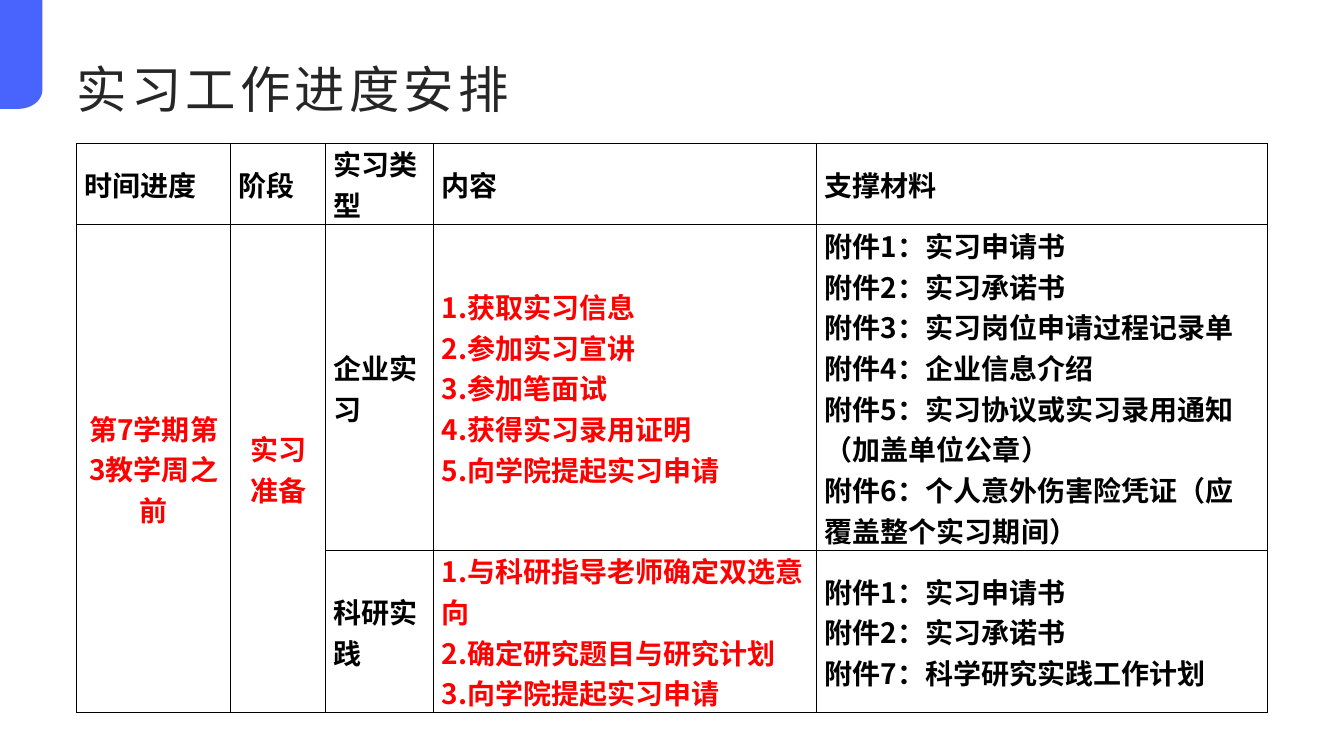
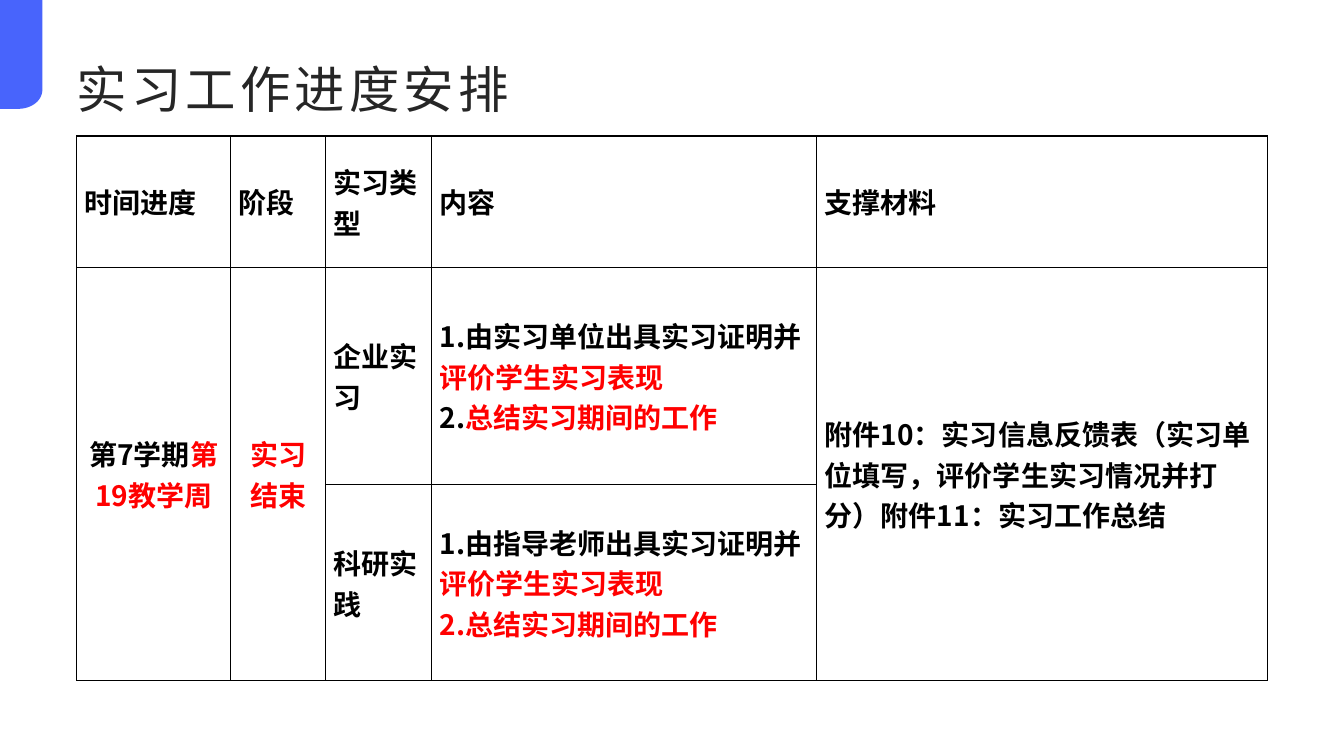
"""Builds two slides that show the internship schedule as tables."""
from lxml import etree
from pptx import Presentation
from pptx.dml.color import RGBColor
from pptx.enum.text import MSO_ANCHOR, PP_ALIGN
from pptx.oxml.ns import qn
from pptx.util import Inches, Pt

COLOURS = {"accent": "4864FC", "title": "262626", "black": "000000", "red": "FF0000"}
TITLE_FONT, BODY_FONT = "Karla", "Noto Sans CJK SC"
LEFT, TITLE_TOP, WIDTH, TITLE_HEIGHT = 0.76, 0.39, 11.81, 0.79
TAB_WIDTH, TAB_HEIGHT, CORNER_WIDTH, CORNER_HEIGHT = 0.42, 1.08, 0.24, 0.19
CURVE_STEPS = 24
CENTRED_COLUMNS = (0, 1)


def lines(*texts, colour="black"):
    return [[(text, colour)] for text in texts]


TITLE = lines("实习工作进度安排", colour="title")
HEADER = [lines(text) for text in ("时间进度", "阶段", "实习类型", "内容", "支撑材料")]
COMPANY, RESEARCH = lines("企业实习"), lines("科研实践")
PRAISE = ("评价学生实习表现", "red")

SCHEDULES = [
    {
        "top": 1.42,
        "columns": [1.53, 0.94, 1.07, 3.8, 4.47],
        "rows": [0.81, 3.23, 1.61],
        "cells": [
            HEADER,
            [
                lines("第7学期第3教学周之前", colour="red"),
                lines("实习准备", colour="red"),
                COMPANY,
                lines("1.获取实习信息", "2.参加实习宣讲", "3.参加笔面试",
                      "4.获得实习录用证明", "5.向学院提起实习申请", colour="red"),
                lines("附件1：实习申请书", "附件2：实习承诺书",
                      "附件3：实习岗位申请过程记录单附件4：企业信息介绍",
                      "附件5：实习协议或实习录用通知（加盖单位公章）",
                      "附件6：个人意外伤害险凭证（应覆盖整个实习期间）"),
            ],
            [
                None,
                None,
                RESEARCH,
                lines("1.与科研指导老师确定双选意向", "2.确定研究题目与研究计划",
                      "3.向学院提起实习申请", colour="red"),
                lines("附件1：实习申请书", "附件2：实习承诺书", "附件7：科学研究实践工作计划"),
            ],
        ],
    },
    {
        "top": 1.35,
        "columns": [1.53, 0.94, 1.05, 3.82, 4.47],
        "rows": [1.3, 2.16, 1.94],
        "cells": [
            HEADER,
            [
                [[("第7学期", "black"), ("第19教学周", "red")]],
                lines("实习结束", colour="red"),
                COMPANY,
                [[("1.由实习单位出具实习证明并", "black"), PRAISE],
                 [("2.", "black"), ("总结实习期间的工作", "red")]],
                lines("附件10：实习信息反馈表（实习单位填写，评价学生实习情况并打分）附件11：实习工作总结"),
            ],
            [
                None,
                None,
                RESEARCH,
                [[("1.由指导老师出具实习证明并", "black"), PRAISE],
                 [("2.总结实习期间的工作", "red")]],
                None,
            ],
        ],
    },
]


def write(frame, paragraphs, size=20, font=BODY_FONT, bold=False, spacing=0,
          align=PP_ALIGN.LEFT):
    frame.word_wrap = True
    for index, runs in enumerate(paragraphs):
        paragraph = frame.add_paragraph() if index else frame.paragraphs[0]
        paragraph.alignment = align
        for text, colour in runs:
            run = paragraph.add_run()
            run.text = text
            run.font.size, run.font.name, run.font.bold = Pt(size), font, bold
            run.font.color.rgb = RGBColor.from_string(COLOURS[colour])
            properties = run.font._element
            properties.set("spc", str(spacing * 100))
            east_asian = etree.Element(qn("a:ea"), typeface=BODY_FONT)
            properties.find(qn("a:latin")).addnext(east_asian)


def add_corner_tab(slide):
    points = []
    x_stops = [TAB_WIDTH - CORNER_WIDTH, 0.31, TAB_WIDTH, TAB_WIDTH]
    y_stops = [TAB_HEIGHT, TAB_HEIGHT, 1, TAB_HEIGHT - CORNER_HEIGHT]
    for step in range(CURVE_STEPS + 1):
        t = step / CURVE_STEPS
        weights = [(1 - t) ** 3, 3 * t * (1 - t) ** 2, 3 * t * t * (1 - t), t ** 3]
        points.append(tuple(
            Inches(sum(weight * stop for weight, stop in zip(weights, stops)))
            for stops in (x_stops, y_stops)))
    builder = slide.shapes.build_freeform(0, 0)
    builder.add_line_segments([(0, Inches(TAB_HEIGHT)), *points, (Inches(TAB_WIDTH), 0)])
    shape = builder.convert_to_shape()
    shape.shadow.inherit = False
    shape.fill.solid()
    shape.fill.fore_color.rgb = RGBColor.from_string(COLOURS["accent"])
    shape.line.fill.background()


def add_title(slide):
    box = slide.shapes.add_textbox(
        Inches(LEFT), Inches(TITLE_TOP), Inches(WIDTH), Inches(TITLE_HEIGHT))
    frame = box.text_frame
    frame.margin_left = frame.margin_right = frame.margin_top = frame.margin_bottom = 0
    frame.vertical_anchor = MSO_ANCHOR.BOTTOM
    write(frame, TITLE, size=36, font=TITLE_FONT, spacing=3)


def format_cell(cell, centred):
    cell.margin_left = Inches(0.08)
    cell.margin_right = Inches(0.08 if centred else 0.12)
    cell.margin_top = cell.margin_bottom = 0
    cell.vertical_anchor = MSO_ANCHOR.MIDDLE
    cell.fill.background()
    properties = cell._tc.get_or_add_tcPr()
    for index, side in enumerate(("lnL", "lnR", "lnT", "lnB")):
        border = etree.Element(qn(f"a:{side}"), w=str(Pt(1)))
        fill = etree.SubElement(border, qn("a:solidFill"))
        etree.SubElement(fill, qn("a:srgbClr"), val=COLOURS["black"])
        properties.insert(index, border)


def add_schedule(slide, schedule):
    columns, rows = schedule["columns"], schedule["rows"]
    table = slide.shapes.add_table(
        len(rows), len(columns), Inches(LEFT), Inches(schedule["top"]),
        Inches(sum(columns)), Inches(sum(rows))).table
    table.first_row = table.horz_banding = False
    for column, width in zip(table.columns, columns):
        column.width = Inches(width)
    for row, height in zip(table.rows, rows):
        row.height = Inches(height)
    for row_index, row_cells in enumerate(schedule["cells"]):
        for column_index, paragraphs in enumerate(row_cells):
            cell = table.cell(row_index, column_index)
            centred = row_index > 0 and column_index in CENTRED_COLUMNS
            format_cell(cell, centred)
            if paragraphs is None:
                table.cell(row_index - 1, column_index).merge(cell)
                continue
            write(cell.text_frame, paragraphs, bold=True,
                  align=PP_ALIGN.CENTER if centred else PP_ALIGN.LEFT)


def main():
    presentation = Presentation()
    presentation.slide_width, presentation.slide_height = Inches(13.33), Inches(7.5)
    for schedule in SCHEDULES:
        slide = presentation.slides.add_slide(presentation.slide_layouts[6])
        add_corner_tab(slide)
        add_title(slide)
        add_schedule(slide, schedule)
    presentation.save("out.pptx")


if __name__ == "__main__":
    main()
